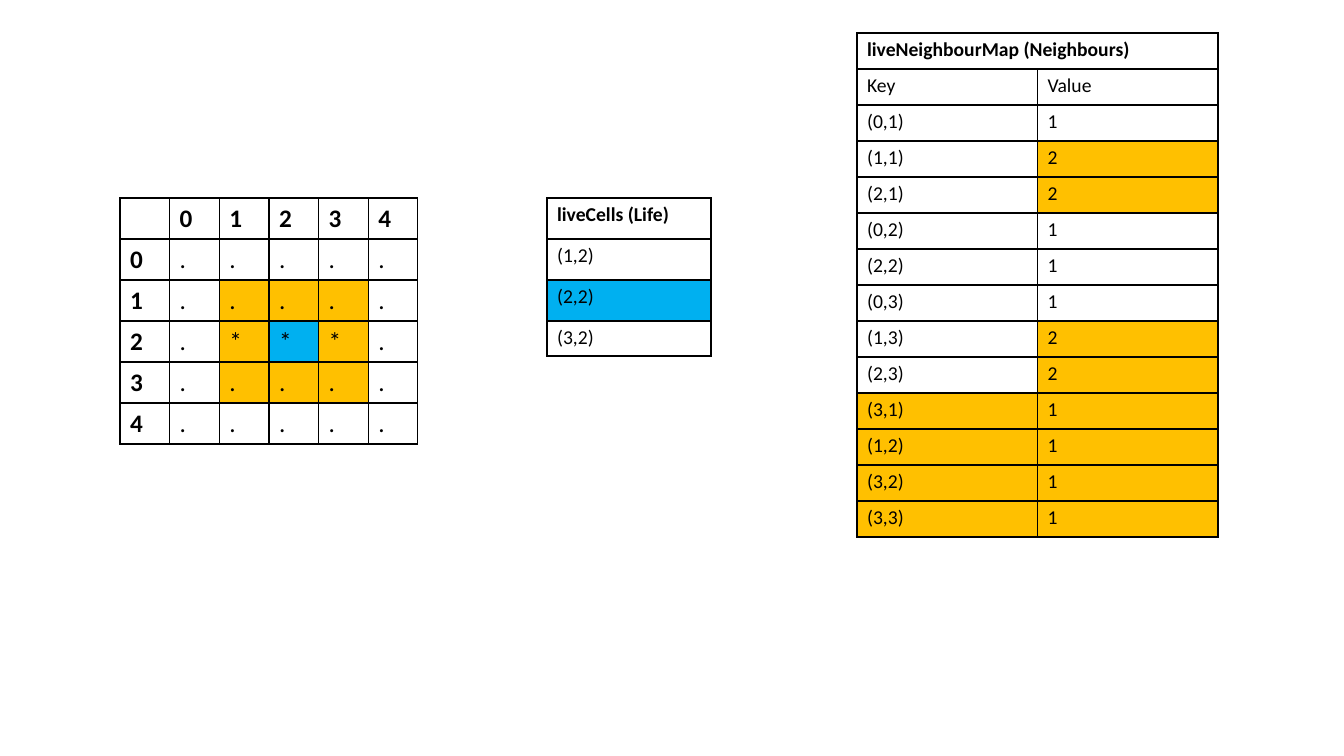
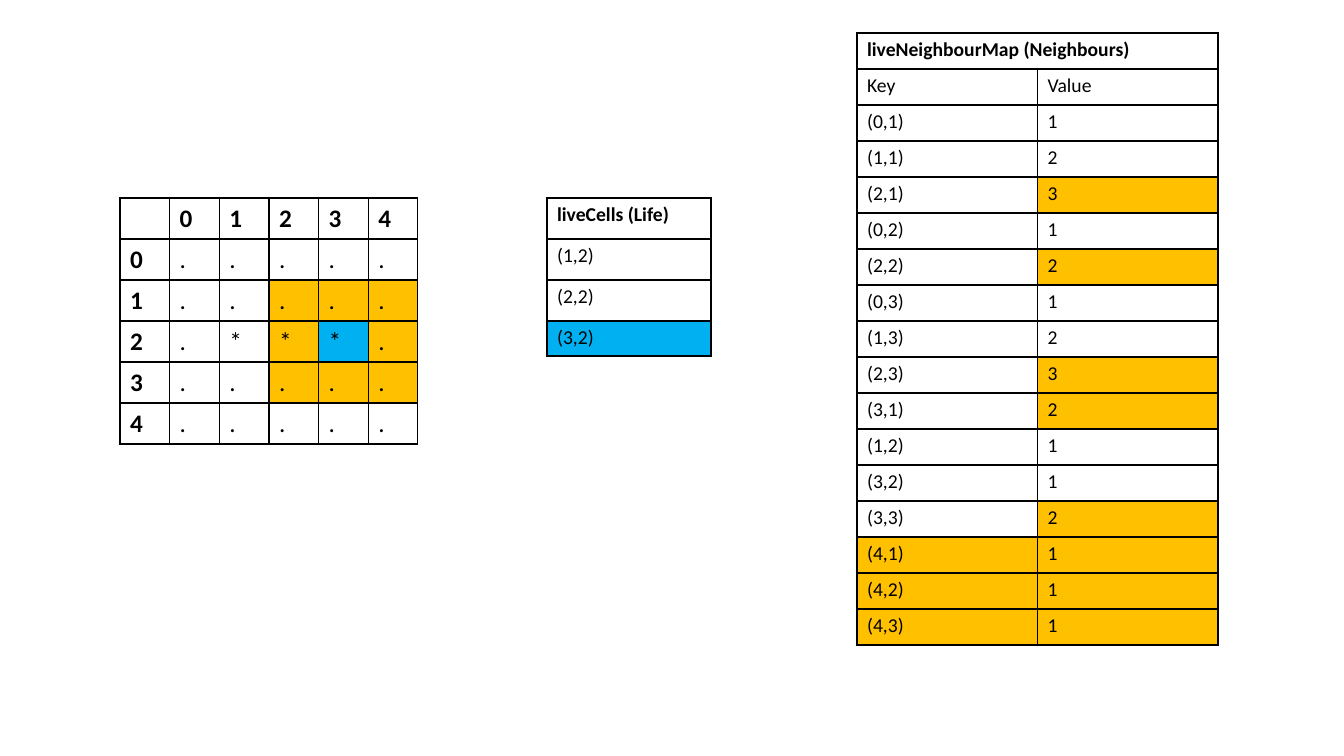
"""Two slides that step through counting live neighbours in the Game of Life."""
from lxml.etree import SubElement
from pptx import Presentation
from pptx.dml.color import RGBColor
from pptx.oxml.ns import qn
from pptx.util import Emu, Pt

BLACK, WHITE, AMBER, BLUE = "000000", "FFFFFF", "FFC000", "00B0F0"
FONT = "Calibri"
GRID = 5
LIVE = [(1, 2), (2, 2), (3, 2)]


def px(n):
    return Emu(round(n * 914400 / 100.8))


def add_grid(s, x, y, width, heights, size, rows):
    """Draw a bordered table from rows of (text, bold, fill) cells."""
    n_cols = len(rows[0])
    frame = s.shapes.add_table(len(rows), n_cols, px(x), px(y), px(width), px(sum(heights)))
    table = frame.table
    table.first_row = table.horz_banding = False
    for col in table.columns:
        col.width = px(width) // n_cols
    for r, row in enumerate(rows):
        table.rows[r].height = px(heights[r])
        for c, (text, bold, fill) in enumerate(row):
            cell = table.cell(r, c)
            tc_pr = cell._tc.get_or_add_tcPr()
            for side in ("lnL", "lnR", "lnT", "lnB"):
                ln = SubElement(tc_pr, qn(f"a:{side}"), w=str(Pt(1)))
                SubElement(SubElement(ln, qn("a:solidFill")), qn("a:srgbClr"), val=BLACK)
            cell.fill.solid()
            cell.fill.fore_color.rgb = RGBColor.from_string(fill)
            p = cell.text_frame.paragraphs[0]
            p.text = text
            p.font.name, p.font.size, p.font.bold = FONT, Pt(size), bold
            p.font.color.rgb = RGBColor.from_string(BLACK)
    return table


prs = Presentation()
prs.slide_width, prs.slide_height = px(1344), px(756)

counts = {}
for step, current in enumerate(LIVE):
    cx, cy = current
    around = [(x, y) for y in range(cy - 1, cy + 2) for x in range(cx - 1, cx + 2)
              if (x, y) != current]
    known = set(counts)
    for key in around:
        counts[key] = counts.get(key, 0) + 1
    if step == 0:
        continue

    s = prs.slides.add_slide(prs.slide_layouts[6])

    board = [[("", True, WHITE)] + [(str(x), True, WHITE) for x in range(GRID)]]
    for y in range(GRID):
        row = [(str(y), True, WHITE)]
        for x in range(GRID):
            fill = BLUE if (x, y) == current else AMBER if (x, y) in around else WHITE
            row.append(("*" if (x, y) in LIVE else ".", False, fill))
        board.append(row)
    add_grid(s, 120, 198, 298, [41] * len(board), 18, board)

    cells = [[("liveCells (Life)", True, WHITE)]]
    cells += [[(f"({x},{y})", False, BLUE if (x, y) == current else WHITE)] for x, y in LIVE]
    add_grid(s, 547, 198, 164, [41, 41, 41, 35], 14, cells)

    neighbours = [[("liveNeighbourMap (Neighbours)", True, WHITE), ("", True, WHITE)],
                  [("Key", False, WHITE), ("Value", False, WHITE)]]
    for (x, y), count in counts.items():
        key_fill = WHITE if (x, y) in known else AMBER
        value_fill = AMBER if (x, y) in around else WHITE
        neighbours.append([(f"({x},{y})", False, key_fill), (str(count), False, value_fill)])
    table = add_grid(s, 857, 33, 361, [36] * len(neighbours), 14, neighbours)
    table.cell(0, 0).merge(table.cell(0, 1))

prs.save("out.pptx")
